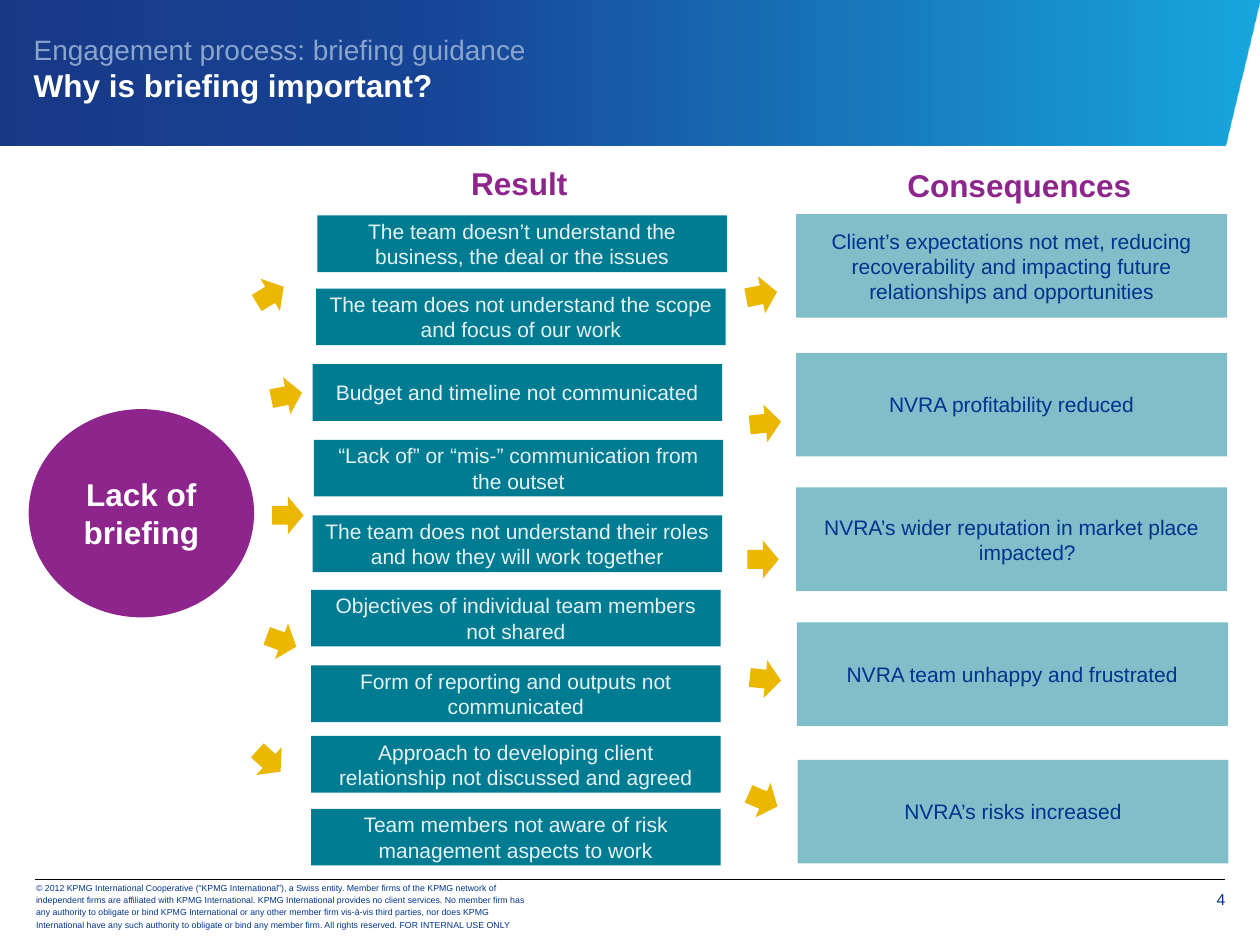
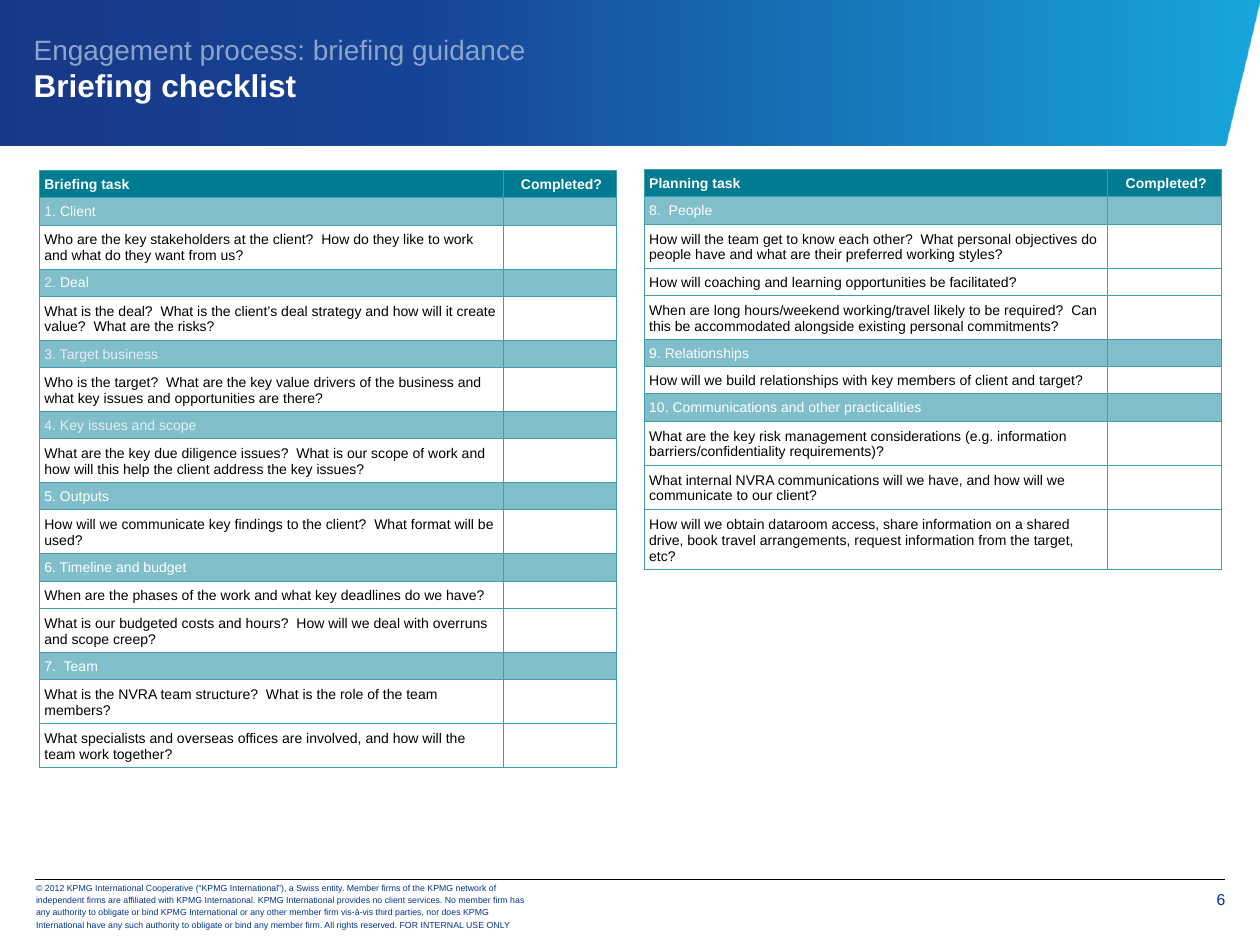
import pptx
import pptx.dml.color
import pptx.enum.shapes
import pptx.enum.text
import pptx.oxml
import pptx.oxml.ns
import pptx.util
from dataclasses import dataclass
from lxml import etree

Pt = pptx.util.Pt
qn = pptx.oxml.ns.qn
ALIGN = pptx.enum.text.PP_ALIGN
ANCHOR = pptx.enum.text.MSO_ANCHOR
SHAPE = pptx.enum.shapes.MSO_SHAPE


# Theme
@dataclass(frozen=True)
class Theme:
    font: str = "Arial"
    navy: str = "00338D"
    band: tuple = ((0, "00257A"), (35, "00338D"), (100, "009FDA"))
    band_opacity: int = 90
    kicker: str = "8AA5CB"
    white: str = "FFFFFF"
    black: str = "000000"
    purple: str = "8E258D"
    teal: str = "007C92"
    pale_teal: str = "80BEC9"
    mint: str = "E5F2F4"
    mist: str = "E7EDF5"
    gold: str = "EBB700"
    grid: str = "409DAD"
    heading_size: float = 18
    kicker_size: float = 16
    body_size: float = 12
    page_size: float = 9
    table_size: float = 8
    legal_size: float = 5


T = Theme()

# Content shared by the slides
KICKER = "Engagement process: briefing guidance"
LEGAL = (
    "© 2012 KPMG International Cooperative (“KPMG International”), a Swiss entity. "
    "Member firms of the KPMG network of independent firms are affiliated with KPMG International. "
    "KPMG International provides no client services. No member firm has any authority to obligate "
    "or bind KPMG International or any other member firm vis-à-vis third parties, nor does KPMG "
    "International have any such authority to obligate or bind any member firm. "
    "All rights reserved. FOR INTERNAL USE ONLY"
)

# Content of the cause diagram
CAUSE = "Lack of briefing"
COLUMN_HEADINGS = [("Result", 196.6, 93.6), ("Consequences", 482.4, 95)]
RESULTS = [  # text, left, top
    ("The team doesn’t understand the business, the deal or the issues", 181.4, 123.1),
    ("The team does not understand the scope and focus of our work", 180.7, 164.9),
    ("Budget and timeline not communicated", 178.6, 208.1),
    ("“Lack of” or “mis-” communication from the outset", 179.3, 251.3),
    ("The team does not understand their roles and how they will work together", 178.6, 294.5),
    ("Objectives of individual team members not shared", 177.8, 337),
    ("Form of reporting and outputs not communicated", 177.8, 380.2),
    ("Approach to developing client relationship not discussed and agreed", 177.8, 420.5),
    ("Team members not aware of risk management aspects to work", 177.8, 462.2),
]
CONSEQUENCES = [  # text, left, top, hanging indent
    ("Client’s expectations not met, reducing recoverability and impacting future "
     "relationships and opportunities", 455, 122.4, 0),
    ("NVRA profitability reduced", 455, 201.6, 0),
    ("NVRA’s wider reputation in market place impacted?", 455, 278.6, 18),
    ("NVRA team unhappy and frustrated", 455.4, 355.7, 0),
    ("NVRA’s risks increased", 455.8, 434.2, 0),
]
ARROWS = [  # left, top, rotation
    (145.4, 157.7, 328.8), (154.8, 215.3, 348.9), (155.5, 283.7, 0),
    (151.9, 355.7, 20.1), (144.7, 424.1, 42.5),
    (426.2, 157.7, 349.1), (428.4, 231.1, 353.9), (427, 308.9, 0),
    (428.4, 377.3, 5.6), (427, 446.4, 23.7),
]

# Content of the checklist: number, section name, colours of both, questions
BRIEFING = ("Briefing task", [
    ("1. ", "Client", T.mist, T.white, [
        "Who are the key stakeholders at the client?  How do they like to work and what do they want from us?"]),
    ("2. ", "Deal", T.mist, T.white, [
        "What is the deal?  What is the client’s deal strategy and how will it create value?  What are the risks?"]),
    ("3. ", "Target business", T.mist, T.mist, [
        "Who is the target?  What are the key value drivers of the business and what key issues "
        "and opportunities are there?"]),
    ("4. ", "Key issues and scope", T.mist, T.mist, [
        "What are the key due diligence issues?  What is our scope of work and how will this help "
        "the client address the key issues?"]),
    ("5. ", "Outputs", T.white, T.white, [
        "How will we communicate key findings to the client?  What format will be used?"]),
    ("6. ", "Timeline and budget", T.white, T.white, [
        "When are the phases of the work and what key deadlines do we have?",
        "What is our budgeted costs and hours?  How will we deal with overruns and scope creep?"]),
    ("7.  ", "Team", T.white, T.white, [
        "What is the NVRA team structure?  What is the role of the team members?",
        "What specialists and overseas offices are involved, and how will the team work together?"]),
])
PLANNING = ("Planning task", [
    ("8.  ", "People", T.white, T.white, [
        "How will the team get to know each other?  What personal objectives do people have and "
        "what are their preferred working styles?",
        "How will coaching and learning opportunities be facilitated?",
        "When are long hours/weekend working/travel likely to be required?  Can this be "
        "accommodated alongside existing personal commitments?"]),
    ("9. ", "Relationships", T.white, T.white, [
        "How will we build relationships with key members of client and target?"]),
    ("10. ", "Communications and other practicalities", T.white, T.white, [
        "What are the key risk management considerations (e.g. information "
        "barriers/confidentiality requirements)?",
        "What internal NVRA communications will we have, and how will we communicate to our client?",
        "How will we obtain dataroom access, share information on a shared drive, book travel "
        "arrangements, request information from the target, etc?"]),
])
CHECKLISTS = [(BRIEFING, 22.4, 97.4, 336.2), (PLANNING, 368, 96.9, 225.4)]  # left, top, height
COMPLETED = " Completed?"
TASK_WIDTH, COMPLETED_WIDTH, ROW_HEIGHT = 265, 64.8, 15.2


# Helpers
def rgb(colour):
    return pptx.dml.color.RGBColor.from_string(colour)


def add_run(paragraph, text, size, colour, bold=False):
    run = paragraph.add_run()
    run.text = text
    run.font.name, run.font.size, run.font.bold = T.font, Pt(size), bold
    run.font.color.rgb = rgb(colour)


def set_frame(frame, insets, anchor):
    frame.word_wrap = True
    frame.vertical_anchor = anchor
    (frame.margin_left, frame.margin_top,
     frame.margin_right, frame.margin_bottom) = [Pt(inset) for inset in insets]


def add_text(slide, box, insets=(7.2, 3.6, 7.2, 3.6), anchor=ANCHOR.MIDDLE, align=ALIGN.LEFT):
    frame = slide.shapes.add_textbox(*map(Pt, box)).text_frame
    set_frame(frame, insets, anchor)
    frame.paragraphs[0].alignment = align
    return frame.paragraphs[0]


def add_block(slide, kind, box, fill):
    block = slide.shapes.add_shape(kind, *map(Pt, box))
    block.shadow.inherit = False
    block.fill.solid()
    block.fill.fore_color.rgb = rgb(fill)
    block.line.fill.background()
    return block


def add_label(slide, kind, box, fill, text, size, colour, bold=False):
    frame = add_block(slide, kind, box, fill).text_frame
    set_frame(frame, (7.2, 3.6, 7.2, 3.6), ANCHOR.MIDDLE)
    label = frame.paragraphs[0]
    label.alignment = ALIGN.CENTER
    add_run(label, text, size, colour, bold)
    return label


# Band, title and footer
def add_band(slide):
    builder = slide.shapes.build_freeform(720, 0, scale=Pt(1))
    builder.add_line_segments([(0, 0), (0, 82.8), (700, 82.8)], close=True)
    band = builder.convert_to_shape()
    band.shadow.inherit = False
    band.line.fill.background()
    band.fill.gradient()
    band.fill.gradient_angle = 0
    stops = next(band._element.spPr.iter(qn("a:gsLst")))
    for stop in list(stops):
        stops.remove(stop)
    for position, colour in T.band:
        stop = etree.SubElement(stops, qn("a:gs"), pos=str(position * 1000))
        tint = etree.SubElement(stop, qn("a:srgbClr"), val=colour)
        etree.SubElement(tint, qn("a:alpha"), val=str(T.band_opacity * 1000))


def start_slide(deck, title, page):
    slide = deck.slides.add_slide(deck.slide_layouts[6])
    add_band(slide)
    rule = slide.shapes.add_connector(
        pptx.enum.shapes.MSO_CONNECTOR.STRAIGHT, Pt(20), Pt(502.6), Pt(700), Pt(502.6))
    rule.line.color.rgb = rgb(T.black)
    rule.line.width = Pt(0.25)
    etree.SubElement(rule._element.spPr, qn("a:effectLst"))

    number = add_text(slide, (663.8, 502.6, 36.4, 22.3), (5.8, 5.8, 0, 0), ANCHOR.TOP, ALIGN.RIGHT)
    add_run(number, page, T.page_size, T.navy)
    legal = add_text(slide, (13.5, 504.7, 298.8, 25.2))
    legal.line_spacing = Pt(7)
    add_run(legal, LEGAL, T.legal_size, T.navy)

    heading = add_text(slide, (12.2, 0, 707.8, 77.8))
    add_run(heading, KICKER, T.kicker_size, T.kicker)
    heading.add_line_break()
    add_run(heading, title, T.heading_size, T.white, True)
    return slide


# Checklist table
def fill_cell(cell, runs, fill=None, bold=False, align=ALIGN.LEFT):
    cell.vertical_anchor = ANCHOR.BOTTOM
    cell.margin_left = cell.margin_right = cell.margin_top = cell.margin_bottom = Pt(3)
    if fill:
        cell.fill.solid()
        cell.fill.fore_color.rgb = rgb(fill)
    else:
        cell.fill.background()
    paragraph = cell.text_frame.paragraphs[0]
    paragraph.alignment = align
    for text, colour in runs:
        add_run(paragraph, text, T.table_size, colour, bold)
    if not runs:
        etree.SubElement(paragraph._p, qn("a:endParaRPr"), sz=str(int(T.table_size * 100)))
    properties = cell._tc.get_or_add_tcPr()
    for order, side in enumerate(("a:lnL", "a:lnR", "a:lnT", "a:lnB")):
        border = etree.Element(qn(side), w=str(Pt(0.5)))
        paint = etree.SubElement(border, qn("a:solidFill"))
        etree.SubElement(paint, qn("a:srgbClr"), val=T.grid)
        properties.insert(order, border)


def add_checklist(slide, checklist, left, top, height):
    heading, sections = checklist
    rows = []
    for number, name, number_colour, name_colour, questions in sections:
        rows.append(([(number, number_colour), (name, name_colour)], T.pale_teal))
        rows += [([(question, T.black)], None) for question in questions]

    holder = slide.shapes.add_table(
        len(rows) + 1, 2, Pt(left), Pt(top), Pt(TASK_WIDTH + COMPLETED_WIDTH), Pt(height))
    table = holder.table
    table.columns[0].width, table.columns[1].width = Pt(TASK_WIDTH), Pt(COMPLETED_WIDTH)
    for row in table.rows:
        row.height = Pt(ROW_HEIGHT)  # rows grow with wrapped questions
    holder.height = Pt(height)

    fill_cell(table.cell(0, 0), [(heading, T.white)], T.teal, True)
    fill_cell(table.cell(0, 1), [(COMPLETED, T.white)], T.teal, True, ALIGN.CENTER)
    for index, (runs, fill) in enumerate(rows, 1):
        fill_cell(table.cell(index, 0), runs, fill)
        fill_cell(table.cell(index, 1), [], fill)


# Slides
def build_cause_slide(deck):
    slide = start_slide(deck, "Why is briefing important?", "4")
    add_label(slide, SHAPE.OVAL, (16.4, 233.8, 128.8, 119), T.purple,
              CAUSE, T.heading_size, T.white, True)
    for text, left, top in COLUMN_HEADINGS:
        heading = add_text(slide, (left, top, 200.2, 31.7), (0, 0, 0, 0), ANCHOR.TOP, ALIGN.CENTER)
        heading.space_after = Pt(3)
        add_run(heading, text, T.heading_size, T.purple, True)
    for text, left, top in RESULTS:
        add_label(slide, SHAPE.RECTANGLE, (left, top, 234, 32.4), T.teal, text, T.body_size, T.mint)
    for text, left, top, hanging in CONSEQUENCES:
        consequence = add_label(slide, SHAPE.RECTANGLE, (left, top, 246.2, 59.2), T.pale_teal,
                                text, T.body_size, T.navy)
        if hanging:
            indent = consequence._p.get_or_add_pPr()
            indent.set("marL", str(Pt(hanging)))
            indent.set("indent", str(-Pt(hanging)))
    for left, top, rotation in ARROWS:
        add_block(slide, SHAPE.RIGHT_ARROW, (left, top, 18, 21.6), T.gold).rotation = rotation


def build_checklist_slide(deck):
    slide = start_slide(deck, "Briefing checklist", "6")
    for checklist, left, top, height in CHECKLISTS:
        add_checklist(slide, checklist, left, top, height)


def main():
    deck = pptx.Presentation()
    deck.slide_width, deck.slide_height = Pt(720), Pt(540)
    build_cause_slide(deck)
    build_checklist_slide(deck)
    deck.save("out.pptx")


if __name__ == "__main__":
    main()
